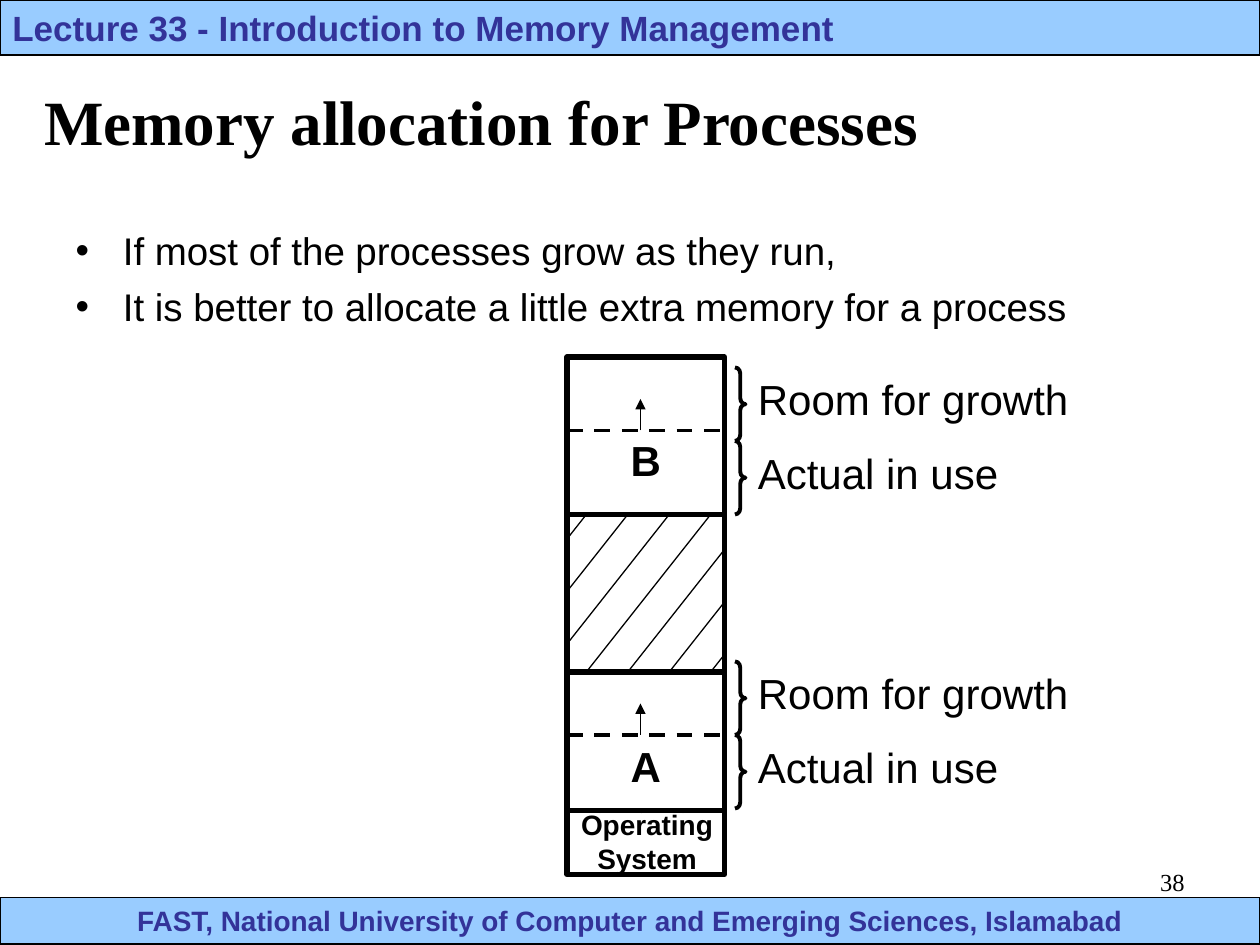
from pptx import Presentation
from pptx.dml.color import RGBColor
from pptx.enum.dml import MSO_LINE as Dash
from pptx.enum.shapes import MSO_CONNECTOR as Conn, MSO_SHAPE as Form
from pptx.enum.text import MSO_ANCHOR as Anchor, MSO_AUTO_SIZE as Fit, PP_ALIGN as Align
from pptx.oxml.ns import qn
from pptx.util import Pt
from lxml.etree import SubElement

ink = RGBColor.from_string
LEFT, WIDE = 324, 90
RIGHT = LEFT + WIDE
TOP, OS_TOP, END = 206, 464.4, 499.7


def write(par, text, size, bold=False, color="000000", font="Arial", align=Align.LEFT):
    par.alignment = align
    run = par.add_run()
    run.text = text
    run.font.size = Pt(size)
    run.font.bold = bold
    run.font.name = font
    run.font.color.rgb = ink(color)


def rule(x1, y1, x2, y2, width=0.75):
    line = shapes.add_connector(Conn.STRAIGHT, Pt(x1), Pt(y1), Pt(x2), Pt(y2))
    line.line.color.rgb = ink("000000")
    line.line.width = Pt(width)
    SubElement(line._element.spPr, qn("a:effectLst"))
    return line


deck = Presentation()
deck.slide_width, deck.slide_height = Pt(720), Pt(540)
slide = deck.slides.add_slide(deck.slide_layouts[1])
shapes = slide.shapes

# Header and footer bars
for y, high, text, size, align in (
    (0, 31.5, "Lecture 33 - Introduction to Memory Management", 20, Align.LEFT),
    (513, 26.5, "FAST, National University of Computer and Emerging Sciences, Islamabad",
     16, Align.CENTER),
):
    bar = shapes.add_shape(Form.RECTANGLE, 0, Pt(y), Pt(720), Pt(high))
    bar.shadow.inherit = False
    bar.fill.solid()
    bar.fill.fore_color.rgb = ink("99CCFF")
    bar.line.color.rgb = ink("000000")
    bar.line.width = Pt(0.75)
    bar.text_frame.word_wrap = True
    bar.text_frame.vertical_anchor = Anchor.TOP
    write(bar.text_frame.paragraphs[0], text, size, True, "333399", align=align)

# Title
title = shapes.title
title.left, title.top, title.width, title.height = Pt(18), Pt(42), Pt(648), Pt(54)
title.text_frame.auto_size = Fit.NONE
title.text_frame.vertical_anchor = Anchor.MIDDLE
write(title.text_frame.paragraphs[0], "Memory allocation for Processes", 36, True,
      font="Times New Roman")

# Bullet list
body = slide.placeholders[1]
body.left, body.top, body.width, body.height = Pt(36), Pt(126), Pt(648), Pt(110)
frame = body.text_frame
frame.auto_size = Fit.NONE
first, second = frame.paragraphs[0], frame.add_paragraph()
first.space_before, second.space_before = Pt(0), Pt(5.5)
write(first, "If most of the processes grow as they run,", 22)
write(second, "It is better to allocate a little extra memory for a process", 22)

# Hatched memory column
stack = shapes.add_shape(Form.RECTANGLE, Pt(LEFT), Pt(TOP), Pt(WIDE), Pt(END - TOP))
stack.shadow.inherit = False
stack.fill.background()
stack.line.color.rgb = ink("000000")
stack.line.width = Pt(3)
rule(LEFT, OS_TOP, RIGHT, OS_TOP)
drop = 114
for i in range(12):
    y = 104 + 30 * i
    start = max(0, (TOP - y) / drop)
    stop = min(1, (OS_TOP - y) / drop)
    rule(RIGHT - WIDE * start, y + drop * start, RIGHT - WIDE * stop, y + drop * stop)

# Process blocks with their growth line and arrow
for name, y, high, split in (("A", 384, 79, 420), ("B", 204, 90, 246)):
    block = shapes.add_shape(Form.RECTANGLE, Pt(LEFT), Pt(y), Pt(WIDE), Pt(high))
    block.shadow.inherit = False
    block.fill.solid()
    block.fill.fore_color.rgb = ink("FFFFFF")
    block.line.color.rgb = ink("000000")
    block.line.width = Pt(3)
    block.text_frame.margin_top = Pt(31.2)
    block.text_frame.vertical_anchor = Anchor.MIDDLE
    write(block.text_frame.paragraphs[0], name, 24, True, align=Align.CENTER)
    rule(LEFT, split, RIGHT, split, 2.25).line.dash_style = Dash.DASH
    arrow = rule(366, split, 366, split - 18)
    SubElement(arrow.line._get_or_add_ln(), qn("a:tailEnd"), type="triangle")

# Braces
for y in (420, 378, 252, 210):
    brace = shapes.add_shape(Form.RIGHT_BRACE, Pt(420), Pt(y), Pt(6), Pt(42))
    brace.adjustments[0] = 0.58
    brace.shadow.inherit = False
    brace.fill.background()
    brace.line.color.rgb = ink("000000")
    brace.line.width = Pt(2.25)

# Labels and slide number
for text, x, y, wide, high, size, bold, font, align in (
    ("Operating System", LEFT, 458, 91.5, 46, 16, True, "Arial", Align.CENTER),
    ("Actual in use", 426, 420, 152, 36, 24, False, "Arial", Align.LEFT),
    ("Room for growth", 426, 378, 192, 36, 24, False, "Arial", Align.LEFT),
    ("Actual in use", 426, 252, 152, 36, 24, False, "Arial", Align.LEFT),
    ("Room for growth", 426, 210, 192, 36, 24, False, "Arial", Align.LEFT),
    ("38", 516, 492, 168, 37.5, 14, False, "Times New Roman", Align.RIGHT),
):
    label = shapes.add_textbox(Pt(x), Pt(y), Pt(wide), Pt(high))
    label.text_frame.word_wrap = True
    write(label.text_frame.paragraphs[0], text, size, bold, font=font, align=align)

deck.save("out.pptx")
